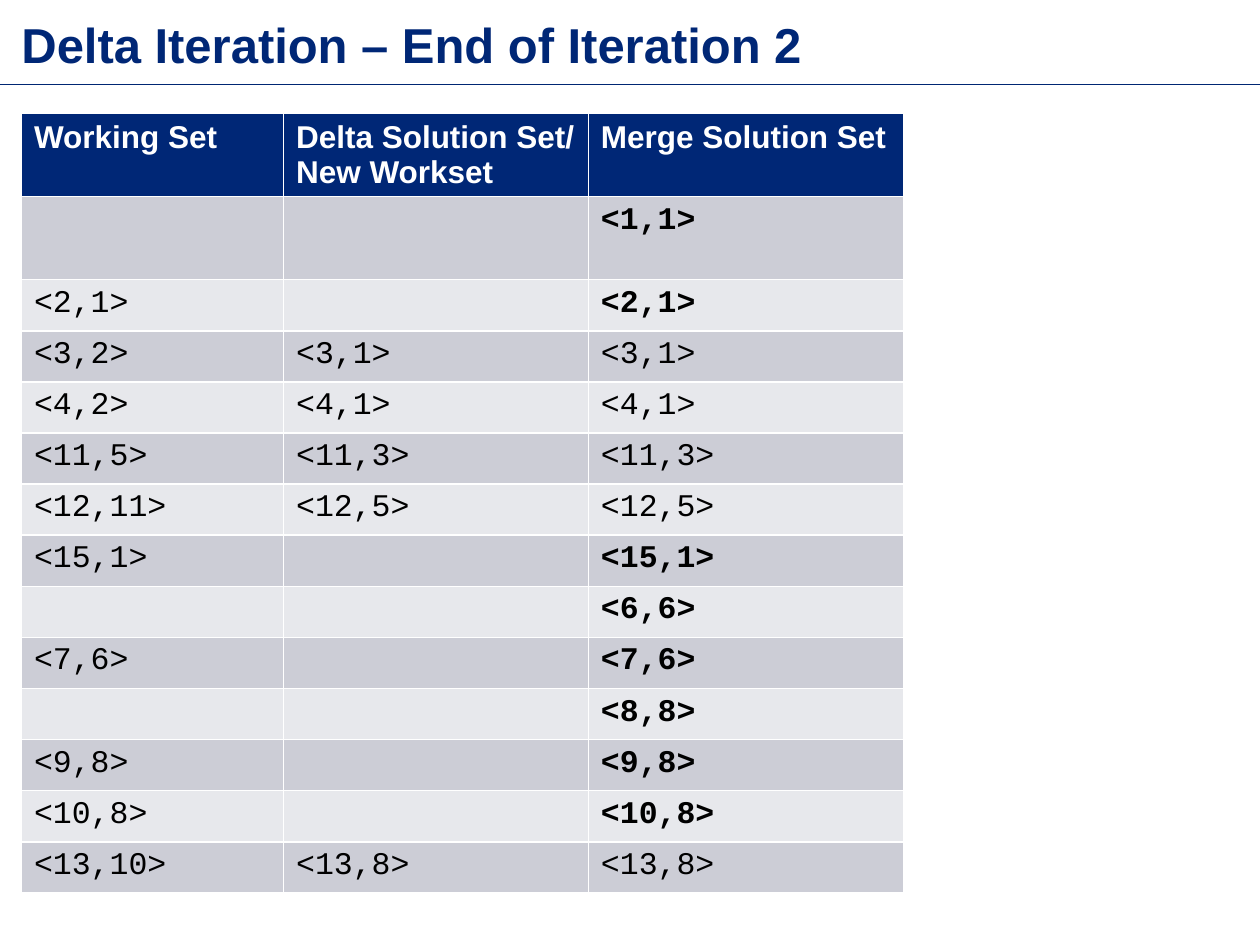
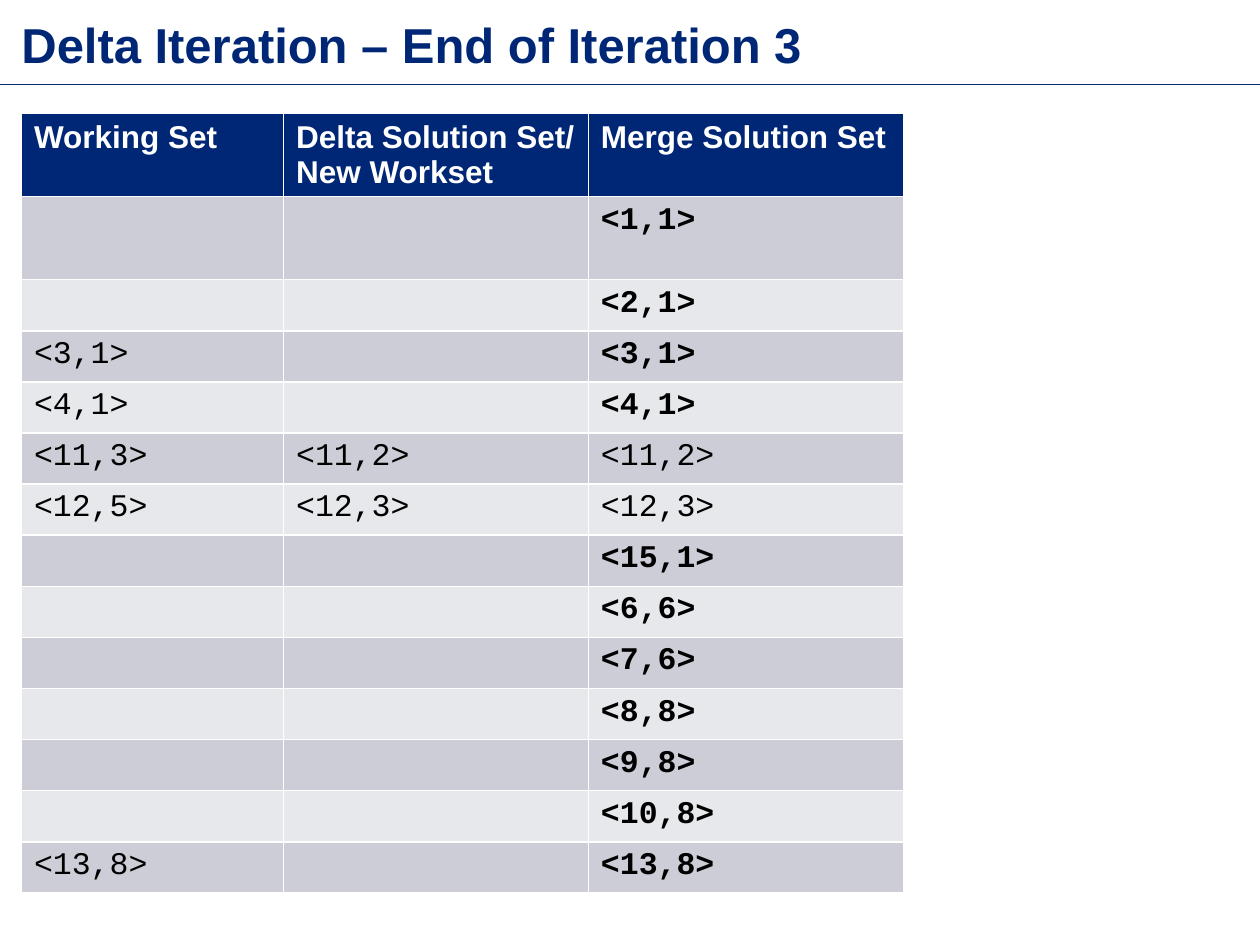
import pptx
import pptx.util
import pptx.dml.color
import pptx.enum.shapes
import pptx.enum.text
import pptx.oxml.ns
from lxml import etree

Inches, Pt = pptx.util.Inches, pptx.util.Pt

COLORS = {
    "navy": "002776",
    "rule": "002673",
    "header_text": "FFFFFF",
    "body_text": "000000",
    "odd_band": "CCCDD6",
    "even_band": "E7E8EC",
}
HEADINGS = ("Working Set", "Delta Solution Set/ New Workset", "Merge Solution Set")
ITERATIONS = [
    ("Delta Iteration – End of Iteration 2", [
        ("", "", "<1,1>"),
        ("<2,1>", "", "<2,1>"),
        ("<3,2>", "<3,1>", "<3,1>"),
        ("<4,2>", "<4,1>", "<4,1>"),
        ("<11,5>", "<11,3>", "<11,3>"),
        ("<12,11>", "<12,5>", "<12,5>"),
        ("<15,1>", "", "<15,1>"),
        ("", "", "<6,6>"),
        ("<7,6>", "", "<7,6>"),
        ("", "", "<8,8>"),
        ("<9,8>", "", "<9,8>"),
        ("<10,8>", "", "<10,8>"),
        ("<13,10>", "<13,8>", "<13,8>"),
    ]),
    ("Delta Iteration – End of Iteration 3", [
        ("", "", "<1,1>"),
        ("", "", "<2,1>"),
        ("<3,1>", "", "<3,1>"),
        ("<4,1>", "", "<4,1>"),
        ("<11,3>", "<11,2>", "<11,2>"),
        ("<12,5>", "<12,3>", "<12,3>"),
        ("", "", "<15,1>"),
        ("", "", "<6,6>"),
        ("", "", "<7,6>"),
        ("", "", "<8,8>"),
        ("", "", "<9,8>"),
        ("", "", "<10,8>"),
        ("<13,8>", "", "<13,8>"),
    ]),
]

LEFT = 0.17
RULE_TOP = 0.67
TABLE_TOP, TABLE_HEIGHT = 0.9, 6.19
COLUMN_WIDTHS = (2.08, 2.42, 2.5)
TALL_ROWS, TALL_HEIGHT = 2, 0.66


def rgb(name):
    return pptx.dml.color.RGBColor.from_string(COLORS[name])


def set_font(paragraph, face, size, color, bold):
    font = paragraph.font
    font.name, font.size, font.bold = face, Pt(size), bold
    font.color.rgb = rgb(color)


def add_heading(slide, wording):
    title = slide.shapes.title
    title.left, title.top = Inches(LEFT), Inches(0.17)
    title.width, title.height = Inches(9.11), Inches(0.29)
    frame = title.text_frame
    frame.text = wording
    frame.margin_left = frame.margin_right = frame.margin_top = frame.margin_bottom = 0
    frame.vertical_anchor = pptx.enum.text.MSO_ANCHOR.TOP
    frame.auto_size = pptx.enum.text.MSO_AUTO_SIZE.NONE
    heading = frame.paragraphs[0]
    heading.alignment = pptx.enum.text.PP_ALIGN.LEFT
    heading.line_spacing = 0.9
    set_font(heading, "Arial", 28, "navy", True)

    rule = slide.shapes.add_connector(
        pptx.enum.shapes.MSO_CONNECTOR.STRAIGHT,
        0, Inches(RULE_TOP), Inches(10), Inches(RULE_TOP))
    rule.line.color.rgb = rgb("rule")
    rule.line.width = Pt(0.75)
    properties = rule._element.spPr
    etree.SubElement(properties, pptx.oxml.ns.qn("a:effectLst"))


def fill_cell(cell, wording, band, face, color, bold):
    cell.fill.solid()
    cell.fill.fore_color.rgb = rgb(band)
    cell.text = wording
    set_font(cell.text_frame.paragraphs[0], face, 18, color, bold)


def add_solution_sets(slide, tuples):
    row_count = len(tuples) + 1
    sets = slide.shapes.add_table(
        row_count, len(HEADINGS), Inches(LEFT), Inches(TABLE_TOP),
        Inches(sum(COLUMN_WIDTHS)), Inches(TABLE_HEIGHT)).table
    for column, width in zip(sets.columns, COLUMN_WIDTHS):
        column.width = Inches(width)
    short_height = (TABLE_HEIGHT - TALL_ROWS * TALL_HEIGHT) / (row_count - TALL_ROWS)
    for index, row in enumerate(sets.rows):
        row.height = Inches(TALL_HEIGHT if index < TALL_ROWS else short_height)

    for column, wording in enumerate(HEADINGS):
        fill_cell(sets.cell(0, column), wording, "navy", "Arial", "header_text", True)
    for row, (working, delta, merged) in enumerate(tuples, 1):
        band = "odd_band" if row % 2 else "even_band"
        unchanged = not delta
        for column, (wording, bold) in enumerate(
                ((working, False), (delta, False), (merged, unchanged))):
            fill_cell(sets.cell(row, column), wording, band, "Courier New", "body_text", bold)


def main():
    deck = pptx.Presentation()
    deck.slide_width, deck.slide_height = Inches(10), Inches(7.5)
    title_only = deck.slide_layouts[5]
    for wording, tuples in ITERATIONS:
        slide = deck.slides.add_slide(title_only)
        add_heading(slide, wording)
        add_solution_sets(slide, tuples)
    deck.save("out.pptx")


if __name__ == "__main__":
    main()
